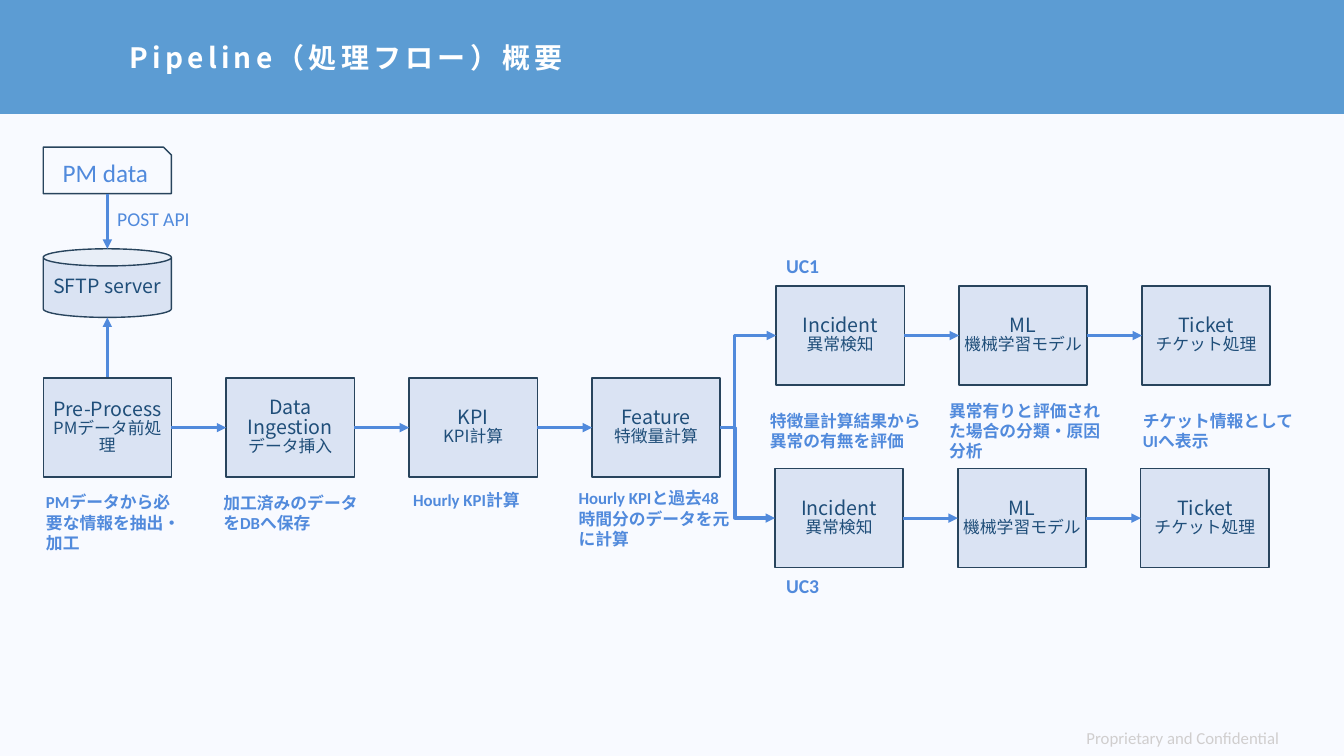
from itertools import pairwise

from lxml.etree import SubElement
from pptx import Presentation
from pptx.dml.color import RGBColor
from pptx.enum.shapes import MSO_CONNECTOR, MSO_SHAPE
from pptx.enum.text import MSO_ANCHOR, PP_ALIGN
from pptx.oxml.ns import qn
from pptx.util import Cm, Pt

COLORS = {
    "background": "F8FAFF",
    "band": "5C9CD3",
    "title": "FFFFFF",
    "box": "DAE3F3",
    "outline": "28445D",
    "step": "1F4E79",
    "accent": "518ADC",
    "footer": "D0CECE",
}
CJK = "Noto Sans CJK JP"
STEP_W, STEP_H, PITCH = 3.23, 2.49, 4.61
RIGHT_SITE, LEFT_SITE = 3, 1


def rgb(name):
    return RGBColor.from_string(COLORS[name])


def write(frame, text, sizes=(12,), font="Calibri", color="accent", bold=False,
          align=PP_ALIGN.LEFT, anchor=MSO_ANCHOR.TOP, spacing=None, tracking=None,
          insets=(0.25, 0.13)):
    frame.word_wrap = True
    frame.vertical_anchor = anchor
    frame.margin_left = frame.margin_right = Cm(insets[0])
    frame.margin_top = frame.margin_bottom = Cm(insets[1])
    frame.text = text
    for paragraph, size in zip(frame.paragraphs, sizes):
        paragraph.alignment = align
        paragraph.line_spacing = spacing
        run = paragraph.runs[0]
        run.font.size = Pt(size)
        run.font.name = font
        run.font.bold = bold
        run.font.color.rgb = rgb(color)
        properties = run.font._element
        if font == CJK:
            SubElement(properties, qn("a:ea")).set("typeface", font)
        if tracking:
            properties.set("spc", str(tracking * 100))


def add_label(slide, box, text, **style):
    label = slide.shapes.add_textbox(*map(Cm, box))
    write(label.text_frame, text, **style)


def add_box(slide, box, text, kind=MSO_SHAPE.RECTANGLE, fill="box", **style):
    shape = slide.shapes.add_shape(kind, *map(Cm, box))
    shape.shadow.inherit = False
    if fill:
        shape.fill.solid()
        shape.fill.fore_color.rgb = rgb(fill)
    else:
        shape.fill.background()
    shape.line.color.rgb = rgb("outline")
    shape.line.width = Pt(1)
    look = {"sizes": (14, 12), "font": CJK, "color": "step", "insets": (0.1, 0.13),
            "spacing": 0.85} | style
    write(shape.text_frame, text, align=PP_ALIGN.CENTER, anchor=MSO_ANCHOR.MIDDLE, **look)
    return shape


def add_arrow(slide, start=(0, 0), end=(0, 0), kind=MSO_CONNECTOR.STRAIGHT):
    arrow = slide.shapes.add_connector(kind, *map(Cm, (*start, *end)))
    arrow.line.color.rgb = rgb("accent")
    arrow.line.width = Pt(2.25)
    properties = arrow.element.spPr
    SubElement(properties.find(qn("a:ln")), qn("a:tailEnd")).set("type", "triangle")
    SubElement(properties, qn("a:effectLst"))
    return arrow


def link(slide, source, target, bend=None):
    kind = MSO_CONNECTOR.ELBOW if bend else MSO_CONNECTOR.STRAIGHT
    arrow = add_arrow(slide, kind=kind)
    arrow.begin_connect(source, RIGHT_SITE)
    arrow.end_connect(target, LEFT_SITE)
    if bend:
        guides = arrow.element.spPr.find(qn("a:prstGeom")).get_or_add_avLst()
        guide = SubElement(guides, qn("a:gd"))
        guide.set("name", "adj1")
        guide.set("fmla", f"val {round(bend * 100000)}")


def add_header(slide, box):
    left, top, width, height = box
    band = slide.shapes.add_shape(MSO_SHAPE.RECTANGLE, *map(Cm, box))
    band.shadow.inherit = False
    band.fill.solid()
    band.fill.fore_color.rgb = rgb("band")
    band.line.fill.background()
    title = slide.shapes.title
    band.element.addnext(title.element)
    title.left, title.top = Cm(left + 3.02), Cm(top + 0.46)
    title.width, title.height = Cm(width - 3.9), Cm(height - 0.79)
    write(title.text_frame, "Pipeline（処理フロー）概要", sizes=(20,), font=CJK, color="title",
          bold=True, anchor=MSO_ANCHOR.MIDDLE, spacing=0.9, tracking=3)


def add_chain(slide, box, steps):
    left, top, width, height = box
    shapes = [add_box(slide, (left + i * PITCH, top, width, height), step)
              for i, step in enumerate(steps)]
    for source, target in pairwise(shapes):
        link(slide, source, target)
    return shapes


def add_source(slide, box):
    left, top, width, height = box
    center = left + width / 2
    file_bottom, server_top, server_bottom = top + 1.17, top + 2.56, top + 4.29
    add_box(slide, (left, server_top, width, server_bottom - server_top), "SFTP server",
            kind=MSO_SHAPE.CAN)
    add_box(slide, (left, top, width, file_bottom - top), "PM data",
            kind=MSO_SHAPE.SNIP_1_RECTANGLE, fill=None, sizes=(18,), font="Calibri",
            color="accent", insets=(0.25, 0.13), spacing=None)
    add_arrow(slide, (center, file_bottom), (center, server_top))
    add_arrow(slide, (center, top + height), (center, server_bottom))
    add_label(slide, (center, top + 1.37, 2.44, 0.86), "POST API", sizes=(14,))


def add_captions(slide, box, captions):
    left, top = box[:2]
    for dx, dy, width, text in captions:
        add_label(slide, (left + dx, top + dy, width, 1.27), text, bold=True)


def build_pipeline(slide, box):
    left, top, width, height = box
    chain_top = top + 5.82
    add_source(slide, (left, top, STEP_W, chain_top - top))
    main = add_chain(slide, (left, chain_top, STEP_W, STEP_H), (
        "Pre-Process\nPMデータ前処理", "Data Ingestion\nデータ挿入",
        "KPI\nKPI計算", "Feature\n特徴量計算"))
    branch_left = left + 18.47
    cases = (("UC1", 0, 3.5, 2.56, 0.26), ("UC3", -0.03, 8.1, 10.62, 0.27))
    for case, dx, dy, label_dy, bend in cases:
        branch = add_chain(slide, (branch_left + dx, top + dy, STEP_W, STEP_H), (
            "Incident\n異常検知", "ML\n機械学習モデル", "Ticket\nチケット処理"))
        link(slide, main[-1], branch[0], bend)
        add_label(slide, (branch_left, top + label_dy, 2.44, 0.86), case, sizes=(14,), bold=True)
    add_captions(slide, box, (
        (-0.18, 8.56, 3.89, "PMデータから必要な情報を抽出・加工"),
        (4.29, 8.58, 4.01, "加工済みのデータをDBへ保存"),
        (9.07, 8.51, 4.01, "Hourly KPI計算"),
        (13.24, 8.46, 4.45, "Hourly KPIと過去48時間分のデータを元に計算"),
        (18.06, 6.5, 4.45, "特徴量計算結果から異常の有無を評価"),
        (22.58, 6.25, 4.45, "異常有りと評価された場合の分類・原因分析"),
        (27.46, 6.5, 4.45, "チケット情報としてUIへ表示")))


def main():
    deck = Presentation()
    deck.slide_width, deck.slide_height = Cm(33.87), Cm(19.05)
    slide = deck.slides.add_slide(deck.slide_layouts[5])
    slide.background.fill.solid()
    slide.background.fill.fore_color.rgb = rgb("background")
    add_header(slide, (0, 0, 33.87, 2.87))
    build_pipeline(slide, (1.09, 3.71, 30.91, 10.61))
    add_label(slide, (27.13, 18.21, 6.7, 0.76), "Proprietary and Confidential", color="footer")
    deck.save("out.pptx")


if __name__ == "__main__":
    main()
